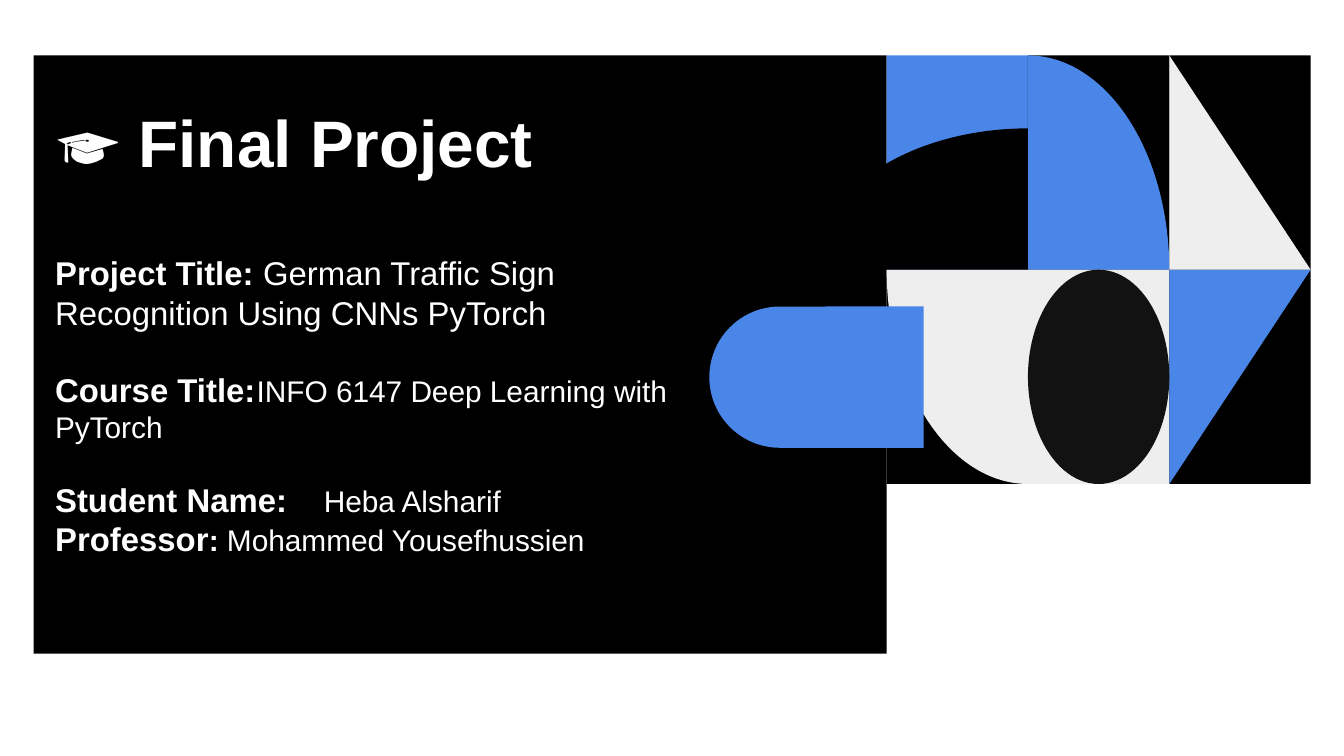
from lxml.etree import SubElement
from pptx import Presentation
from pptx.dml.color import RGBColor
from pptx.enum.shapes import MSO_SHAPE
from pptx.enum.text import MSO_ANCHOR, MSO_AUTO_SIZE, PP_ALIGN
from pptx.oxml.ns import qn
from pptx.util import Pt

COLORS = {
    "black": "000000",
    "charcoal": "121212",
    "pale": "EEEEEE",
    "blue": "4A86E8",
    "white": "FFFFFF",
}
FONT = "Arial"
LABEL_SIZE, VALUE_SIZE = 17.6, 16
PANEL_LEFT, PANEL_WIDTH, PANEL_HEIGHT = 18, 457, 320.5
MOSAIC_LEFT, MOSAIC_TOP = 475, 29.7
TILE_WIDTH, TILE_HEIGHT = 75.7, 114.8
TEXT_LEFT, TEXT_WIDTH = 29.5, 363.6

DETAILS = [
    (0, None, [("Project Title: ", LABEL_SIZE, True),
               ("German Traffic Sign Recognition Using CNNs PyTorch", LABEL_SIZE, False)]),
    (20.2, 117.3, [("Course Title:\t", LABEL_SIZE, True),
                   ("INFO 6147 Deep Learning with PyTorch", VALUE_SIZE, False)]),
    (18.4, 134.5, [("Student Name:\t", LABEL_SIZE, True),
                   ("Heba Alsharif", VALUE_SIZE, False)]),
    (0, None, [("Professor", LABEL_SIZE, True),
               (": ", VALUE_SIZE, True),
               ("Mohammed Yousefhussien", VALUE_SIZE, False)]),
]


def color(name):
    return RGBColor.from_string(COLORS[name])


def add_piece(slide, preset, box, fill, rotation=0, adjustments=()):
    left, top, width, height = box
    if rotation in (90, 270):
        left, top = left + (width - height) / 2, top + (height - width) / 2
        width, height = height, width
    piece = slide.shapes.add_shape(preset, Pt(left), Pt(top), Pt(width), Pt(height))
    piece.rotation = rotation
    for index, value in enumerate(adjustments):
        piece.adjustments[index] = value
    piece.shadow.inherit = False
    piece.fill.solid()
    piece.fill.fore_color.rgb = color(fill)
    piece.line.fill.background()


def tile(column, row):
    return (MOSAIC_LEFT + column * TILE_WIDTH, MOSAIC_TOP + row * TILE_HEIGHT,
            TILE_WIDTH, TILE_HEIGHT)


def add_quarter(slide, center, radii, fill, start, end):
    x, y = center
    across, down = radii
    box = (x - across, y - down, 2 * across, 2 * down)
    add_piece(slide, MSO_SHAPE.PIE, box, fill, adjustments=(start * 0.6, end * 0.6))


def add_mosaic(slide):
    backdrop = [["blue", "black", "black"], ["black", "pale", "black"]]
    for row, fills in enumerate(backdrop):
        for column, fill in enumerate(fills):
            add_piece(slide, MSO_SHAPE.RECTANGLE, tile(column, row), fill)
    center = tile(1, 1)[:2]
    tile_radii = (TILE_WIDTH, TILE_HEIGHT)
    add_quarter(slide, center, tile_radii, "pale", 90, 180)
    add_piece(slide, MSO_SHAPE.ROUND_2_SAME_RECTANGLE,
              (380, 164.2, TILE_HEIGHT, TILE_WIDTH), "blue", 270, (0.5, 0))
    add_quarter(slide, center, tile_radii, "blue", 270, 0)
    add_piece(slide, MSO_SHAPE.RIGHT_TRIANGLE, tile(2, 1), "blue", 90)
    add_piece(slide, MSO_SHAPE.OVAL, tile(1, 1), "charcoal")
    add_piece(slide, MSO_SHAPE.RIGHT_TRIANGLE, tile(2, 0), "pale")
    add_quarter(slide, center, tile_radii[::-1], "black", 180, 270)


def place_text(slide, holder, top, height):
    slide.shapes._spTree.append(holder._element)
    holder.left, holder.top = Pt(TEXT_LEFT), Pt(top)
    holder.width, holder.height = Pt(TEXT_WIDTH), Pt(height)
    frame = holder.text_frame
    frame.margin_left = frame.margin_right = frame.margin_top = frame.margin_bottom = 0
    frame.word_wrap = True
    frame.auto_size = MSO_AUTO_SIZE.NONE
    frame.vertical_anchor = MSO_ANCHOR.TOP
    return frame


def write_paragraph(paragraph, runs, gap=0, tab=None):
    paragraph.alignment = PP_ALIGN.LEFT
    paragraph.line_spacing = 1.0
    paragraph.space_before = Pt(gap)
    paragraph.space_after = Pt(0)
    if tab:
        stops = SubElement(paragraph._p.get_or_add_pPr(), qn("a:tabLst"))
        SubElement(stops, qn("a:tab"), pos=str(Pt(tab)), algn="l")
    for text, size, bold in runs:
        run = paragraph.add_run()
        run.text = text
        run.font.name = FONT
        run.font.size = Pt(size)
        run.font.bold = bold
        run.font.color.rgb = color("white")


def add_heading(slide):
    frame = place_text(slide, slide.shapes.title, 54.7, 42)
    write_paragraph(frame.paragraphs[0], [("🎓 Final Project", 35.2, True)])


def add_details(slide):
    frame = place_text(slide, slide.placeholders[1], 135.6, 187)
    for index, (gap, tab, runs) in enumerate(DETAILS):
        paragraph = frame.add_paragraph() if index else frame.paragraphs[0]
        write_paragraph(paragraph, runs, gap, tab)


def main():
    deck = Presentation()
    deck.slide_width, deck.slide_height = Pt(720), Pt(405)
    slide = deck.slides.add_slide(deck.slide_layouts[0])
    add_piece(slide, MSO_SHAPE.RECTANGLE,
              (PANEL_LEFT, MOSAIC_TOP, PANEL_WIDTH, PANEL_HEIGHT), "black")
    add_mosaic(slide)
    add_heading(slide)
    add_details(slide)
    deck.save("out.pptx")


if __name__ == "__main__":
    main()
